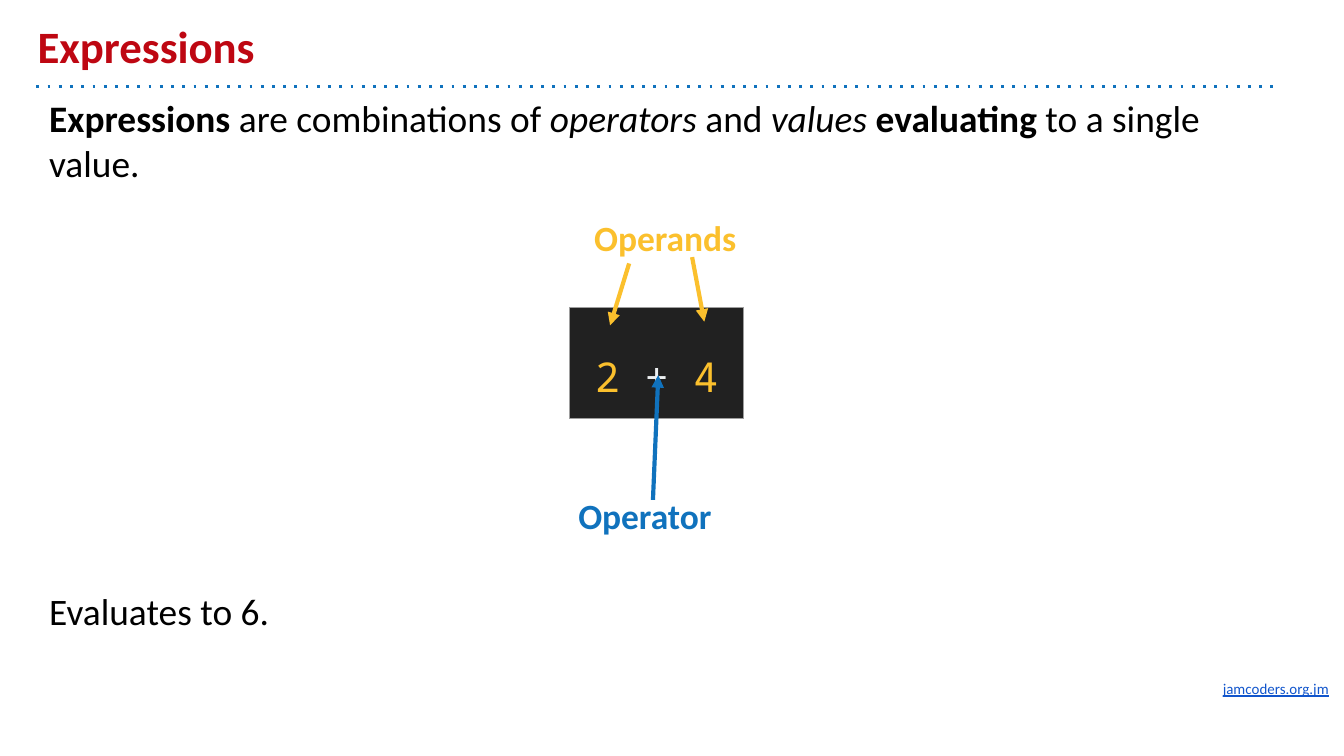
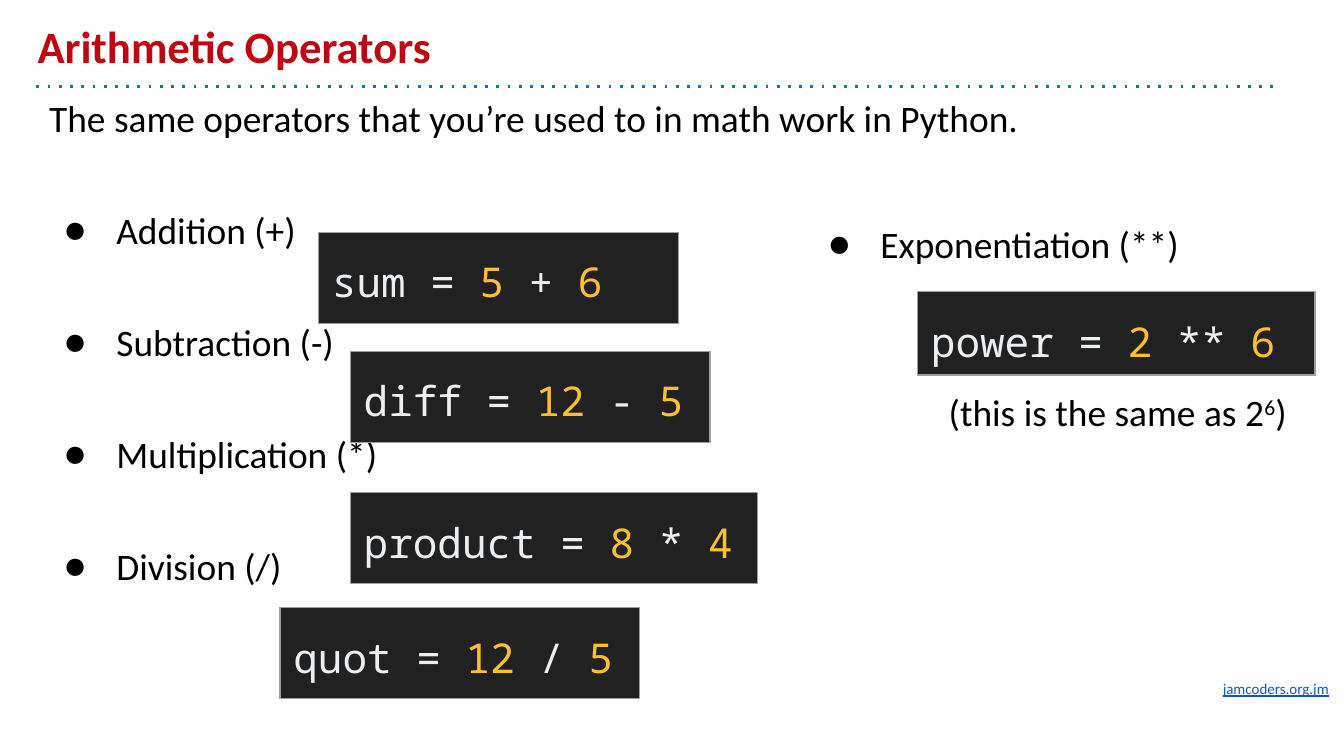
from dataclasses import dataclass
from itertools import groupby

from lxml import etree
from pptx import Presentation
from pptx import util as u
from pptx.dml.color import RGBColor
from pptx.enum import shapes, text
from pptx.oxml import ns


@dataclass(frozen=True)
class Theme:
    red: str = "BE0712"
    blue: str = "1072BD"
    amber: str = "FBC02D"
    black: str = "000000"
    link: str = "1155CC"
    code_back: str = "212121"
    code_text: str = "ECEFF1"
    code_border: str = "9E9E9E"
    body_font: str = "Calibri"
    code_font: str = "Noto Sans Mono"
    title_size: float = 24
    code_size: float = 22
    body_size: float = 20
    label_size: float = 19
    footer_size: float = 8
    rule_width: float = 1.5
    arrow_width: float = 2.25
    border_width: float = 0.75
    inset: float = 0.254


THEME = Theme()
TITLE_STYLE = {"size": THEME.title_size, "color": THEME.red, "bold": True}
FOOTER_STYLE = {"size": THEME.footer_size, "color": THEME.link, "underline": True}
BOLD, ITALIC = {"bold": True}, {"italic": True}
BULLET = {"bullet": "●", "indent": 1.27, "hanging": 0.99}

# Places are left, top, width, height in centimetres.
SLIDE_SIZE = (25.4, 14.29)
TITLE_PLACE = (0.46, 0.25, 22.86, 1.37)
BODY_PLACE = (0.68, 1.55, 23.44, 11.53)
FOOTER_PLACE = (22.86, 12.67, 2.79, 0.86)
RULE = ((0.69, 1.63), (24.13, 1.63))
FOOTER = "jamcoders.org.jm"
CODE_FRAME = (8.33, 8.33)

# A paragraph is (runs, layout); a run is (words, font values).
SLIDES = [
    {
        "title": "Expressions",
        "texts": [
            (BODY_PLACE, [
                ([("Expressions", BOLD), (" are combinations of ", {}),
                  ("operators", ITALIC), (" and ", {}), ("values ", ITALIC),
                  ("evaluating", BOLD), (" to a single value.", {})], {}),
                ([("Evaluates to 6.", {})], {"before": 216}),
            ]),
        ],
        "code": [((10.77, 5.81, 3.28, 2.1), "2 + 4",
                  {"align": text.PP_ALIGN.CENTER, "line": 1.5})],
        "arrows": [
            ((11.89, 4.98), (11.53, 6.15), THEME.amber),
            ((13.08, 4.86), (13.31, 6.08), THEME.amber),
            ((12.34, 9.45), (12.44, 7.09), THEME.blue),
        ],
        "labels": [
            ((10.98, 3.84, 3.45, 1.32), "Operands", THEME.amber),
            ((10.68, 9.08, 3.45, 1.32), "Operator", THEME.blue),
        ],
    },
    {
        "title": "Arithmetic Operators",
        "texts": [
            (BODY_PLACE, [
                ([("The same operators that you’re used to in math work in Python.", {})], {}),
                *(([(operation, {})], {**BULLET, "before": 36})
                  for operation in ("Addition (+)", "Subtraction (-)",
                                    "Multiplication (*)", "Division (/)")),
            ]),
            ((15.12, 3.93, 9.91, 4.57), [
                ([("Exponentiation (**)", {})], BULLET),
                ([("(this is the same as 2", {}), ("6", {"baseline": 30}), (")", {})],
                 {"before": 65.8, "indent": 2.56}),
            ]),
        ],
        "code": [
            ((6.02, 4.39, 6.8, 1.72), "sum = 5 + 6", {"line": 1.15}),
            ((6.62, 6.64, 6.8, 1.72), "diff = 12 - 5", {"line": 1.15}),
            ((6.62, 9.31, 7.7, 1.72), "product = 8 * 4", {"line": 1.15}),
            ((5.29, 11.49, 6.8, 1.72), "quot = 12 / 5", {"line": 1.15}),
            ((17.34, 5.51, 7.51, 1.57), "power = 2 ** 6", {"line": 1.15}),
        ],
        "arrows": [],
        "labels": [],
    },
]


def in_cm(values):
    return [u.Cm(value) for value in values]


def add_xml(parent, tag, **attributes):
    element = etree.SubElement(parent, ns.qn(tag))
    for name, value in attributes.items():
        element.set(name, str(value))
    return element


def format_run(run, values):
    values = {"name": THEME.body_font, "size": THEME.body_size,
              "color": THEME.black, **values}
    for name, value in values.items():
        if name == "color":
            run.font.color.rgb = RGBColor.from_string(value)
        elif name == "baseline":
            run._r.get_or_add_rPr().set("baseline", str(value * 1000))
        else:
            setattr(run.font, name, u.Pt(value) if name == "size" else value)


def write_paragraph(paragraph, runs, layout):
    properties = paragraph._p.get_or_add_pPr()
    properties.set("marL", str(u.Cm(layout.get("indent", 0))))
    properties.set("indent", str(-u.Cm(layout.get("hanging", 0))))
    if "bullet" in layout:
        add_xml(add_xml(properties, "a:buClr"), "a:srgbClr", val=THEME.black)
        add_xml(properties, "a:buSzPts", val=THEME.body_size * 100)
        add_xml(properties, "a:buFont", typeface=THEME.body_font)
        add_xml(properties, "a:buChar", char=layout["bullet"])
    paragraph.space_before = u.Pt(layout.get("before", 0))
    paragraph.line_spacing = layout.get("line", 1.0)
    paragraph.alignment = layout.get("align", text.PP_ALIGN.LEFT)
    for words, values in runs:
        run = paragraph.add_run()
        run.text = words
        format_run(run, values)


def set_margins(target):
    for side in ("left", "right", "top", "bottom"):
        setattr(target, f"margin_{side}", u.Cm(THEME.inset))


def add_text(slide, place, paragraphs, anchor=text.MSO_ANCHOR.TOP):
    frame = slide.shapes.add_textbox(*in_cm(place)).text_frame
    frame.word_wrap = True
    frame.vertical_anchor = anchor
    set_margins(frame)
    for number, (runs, layout) in enumerate(paragraphs):
        paragraph = frame.add_paragraph() if number else frame.paragraphs[0]
        write_paragraph(paragraph, runs, layout)


def add_line(slide, start, end, color, width, ending):
    """Draw a straight line; ending is the (tag, attributes) of its dash or arrowhead."""
    line = slide.shapes.add_connector(
        shapes.MSO_CONNECTOR.STRAIGHT, *in_cm((*start, *end)))
    line.line.color.rgb = RGBColor.from_string(color)
    line.line.width = u.Pt(width)
    tag, attributes = ending
    add_xml(line.line._get_or_add_ln(), tag, **attributes)
    add_xml(line._element.spPr, "a:effectLst")


def add_code(slide, place, code, layout):
    """Show code in a one-cell table, with its numbers highlighted."""
    left, top, width, height = in_cm(place)
    table = slide.shapes.add_table(1, 1, left, top, *in_cm(CODE_FRAME)).table
    table.columns[0].width, table.rows[0].height = width, height
    table.first_row = table.horz_banding = False
    cell = table.cell(0, 0)
    set_margins(cell)
    properties = cell._tc.get_or_add_tcPr()
    for side in "LRTB":
        border = add_xml(properties, f"a:ln{side}", w=u.Pt(THEME.border_width))
        add_xml(add_xml(border, "a:solidFill"), "a:srgbClr", val=THEME.code_border)
    cell.fill.solid()
    cell.fill.fore_color.rgb = RGBColor.from_string(THEME.code_back)
    properties.append(properties.find(ns.qn("a:solidFill")))
    runs = [
        ("".join(part), {"name": THEME.code_font, "size": THEME.code_size,
                         "color": THEME.amber if is_number else THEME.code_text})
        for is_number, part in groupby(code, str.isdigit)
    ]
    write_paragraph(cell.text_frame.paragraphs[0], runs, layout)


def build_slide(presentation, content):
    slide = presentation.slides.add_slide(presentation.slide_layouts[6])
    add_text(slide, FOOTER_PLACE, [([(FOOTER, FOOTER_STYLE)], {})])
    add_line(slide, *RULE, THEME.blue, THEME.rule_width, ("a:prstDash", {"val": "dot"}))
    add_text(slide, TITLE_PLACE, [([(content["title"], TITLE_STYLE)], {})],
             text.MSO_ANCHOR.BOTTOM)
    for place, paragraphs in content["texts"]:
        add_text(slide, place, paragraphs)
    for place, code, layout in content["code"]:
        add_code(slide, place, code, layout)
    for start, end, color in content["arrows"]:
        add_line(slide, start, end, color, THEME.arrow_width,
                 ("a:tailEnd", {"type": "triangle"}))
    for place, words, color in content["labels"]:
        style = {"size": THEME.label_size, "color": color, "bold": True}
        add_text(slide, place, [([(words, style)], {})])


def main():
    presentation = Presentation()
    presentation.slide_width, presentation.slide_height = in_cm(SLIDE_SIZE)
    for content in SLIDES:
        build_slide(presentation, content)
    presentation.save("out.pptx")


if __name__ == "__main__":
    main()
